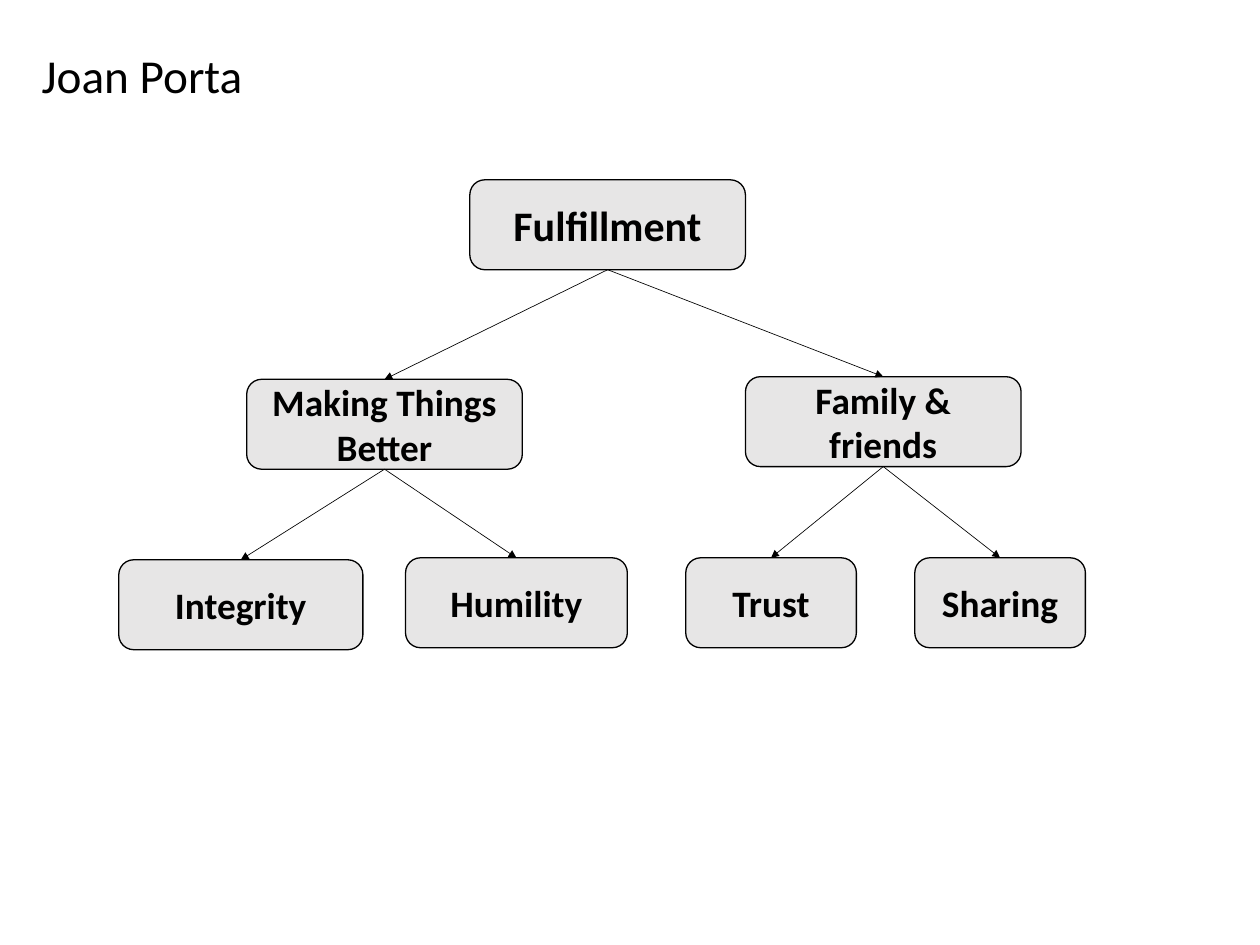
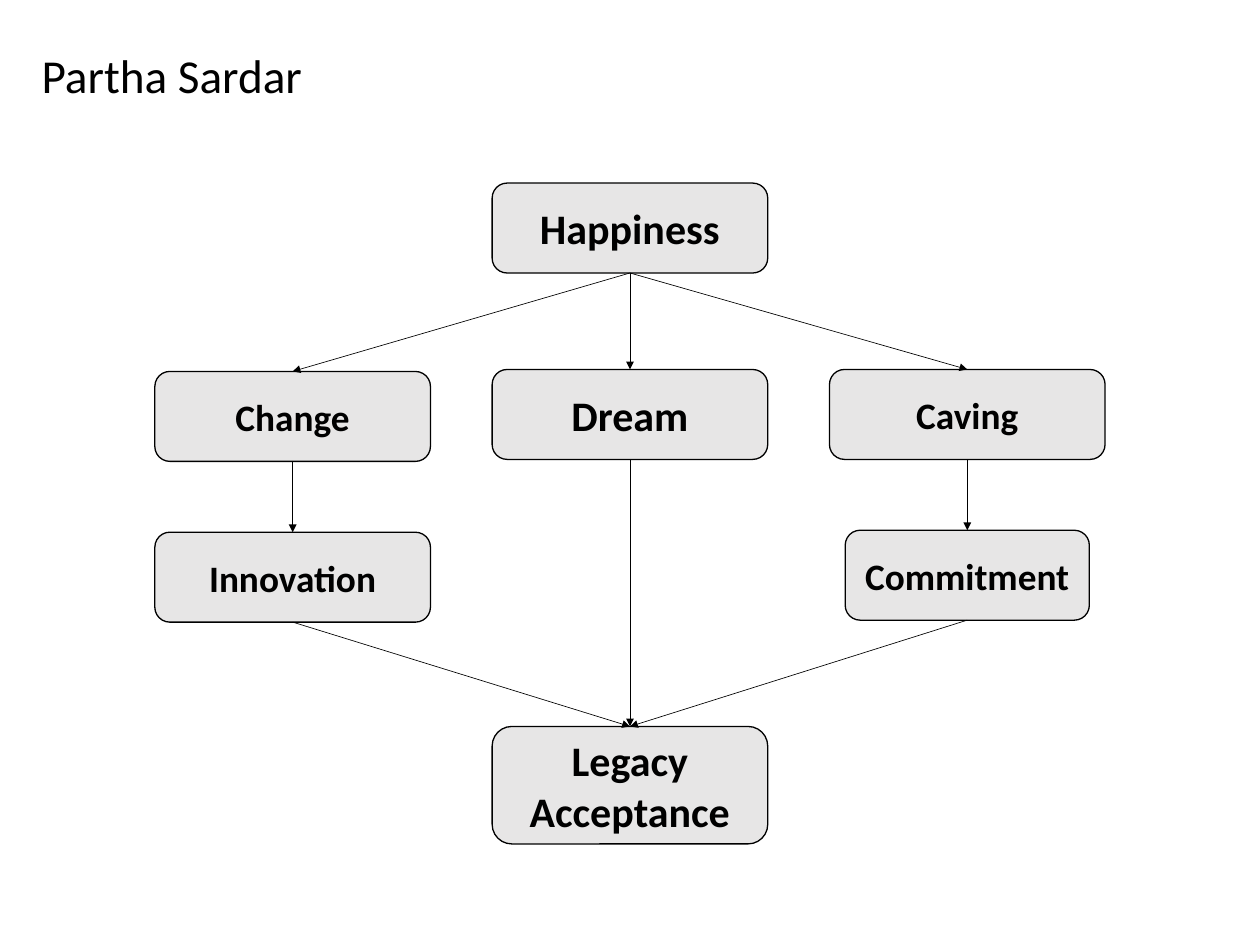
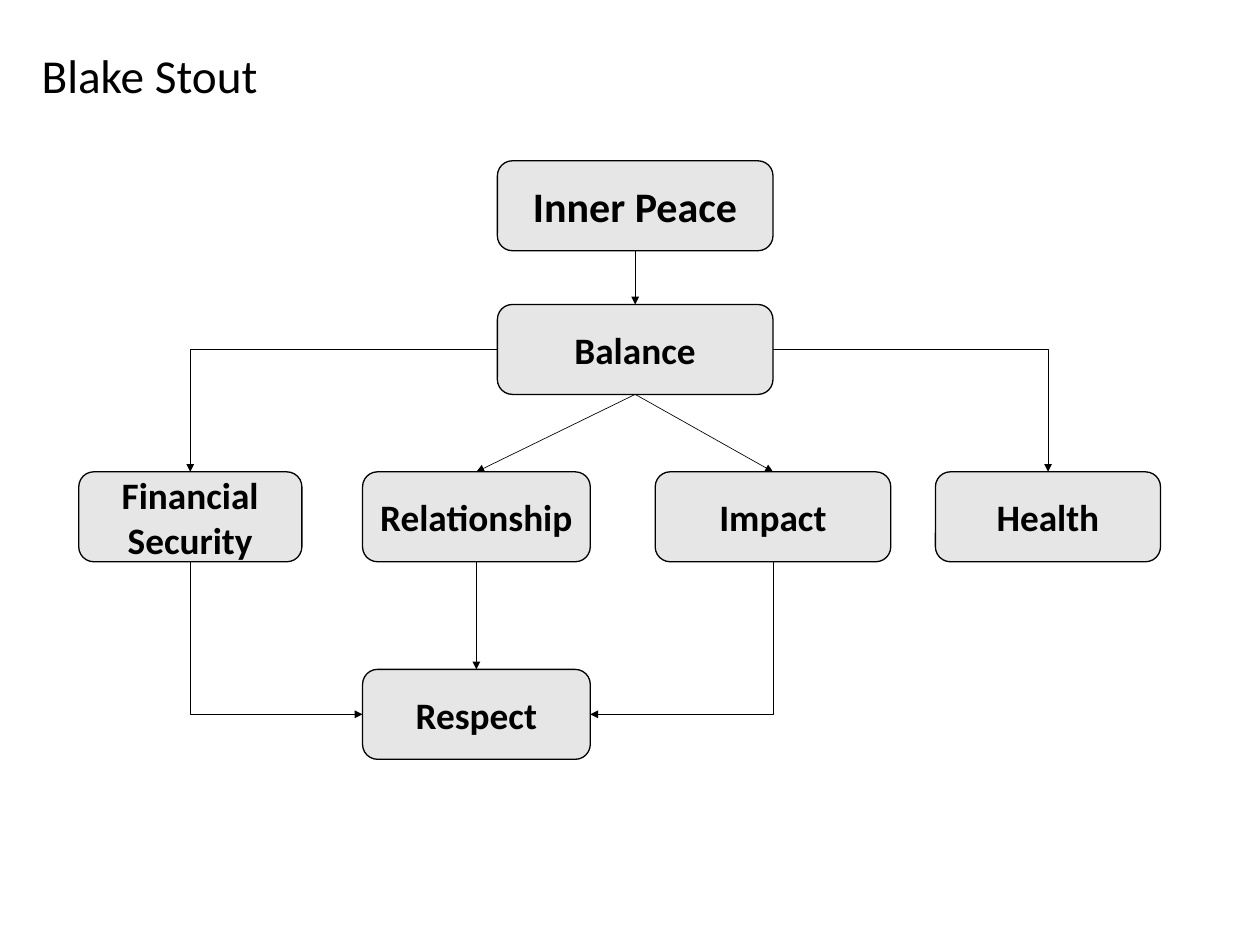
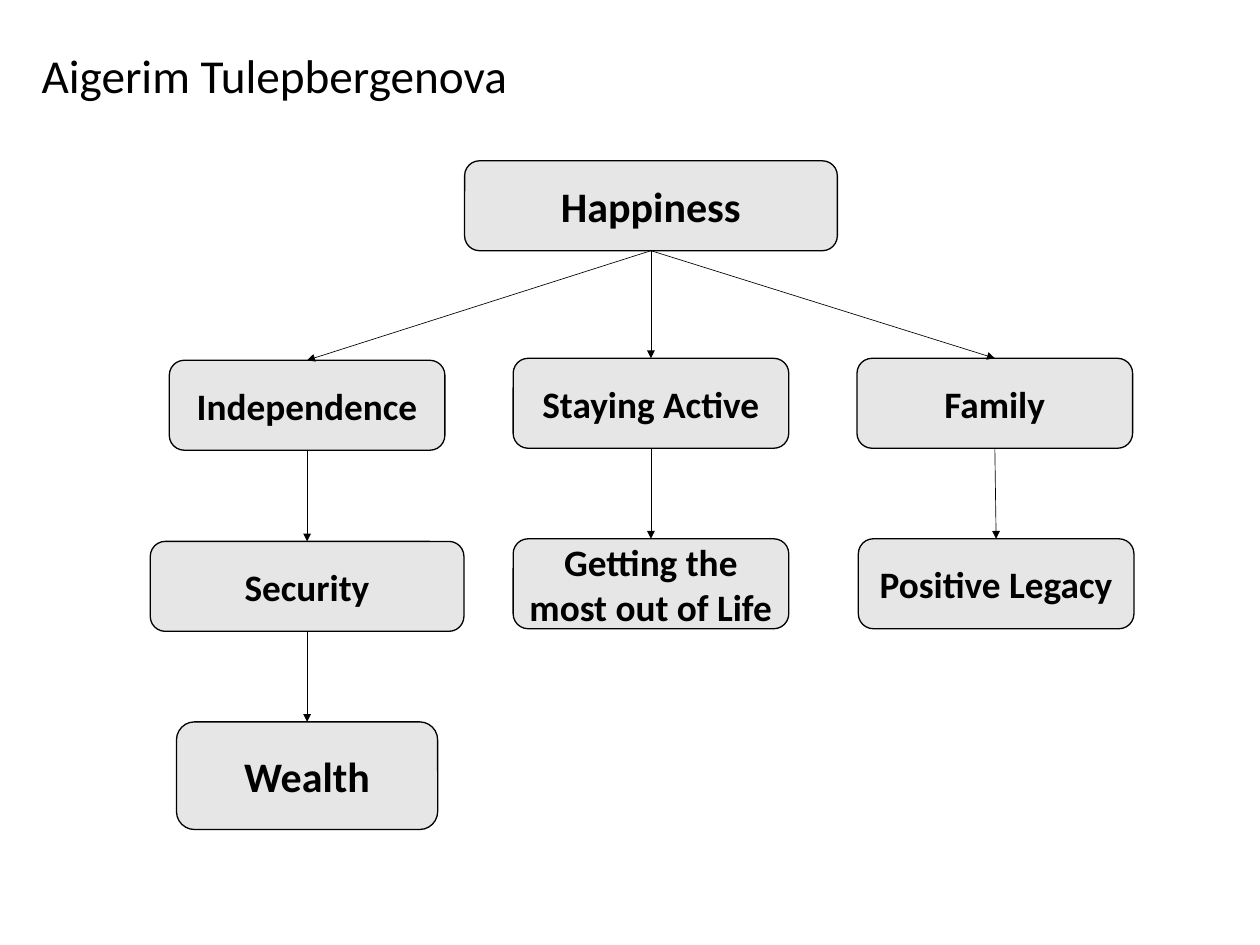
"""Build four value-tree slides, one per person."""
from lxml import etree
from pptx import Presentation
from pptx.dml.color import RGBColor
from pptx.enum.shapes import MSO_CONNECTOR, MSO_SHAPE
from pptx.enum.text import MSO_ANCHOR, PP_ALIGN
from pptx.oxml.ns import qn
from pptx.util import Pt

BLACK = RGBColor(0x00, 0x00, 0x00)
BOX_GREY = RGBColor(0xE7, 0xE6, 0xE6)
FONT = "Calibri"
ROUNDED = MSO_SHAPE.ROUNDED_RECTANGLE
STRAIGHT = MSO_CONNECTOR.STRAIGHT
ELBOW = MSO_CONNECTOR.ELBOW
MIDDLE = MSO_ANCHOR.MIDDLE
ALIGN_LEFT = PP_ALIGN.LEFT
ALIGN_CENTER = PP_ALIGN.CENTER
TITLE_ONLY = 5
TOP, LEFT, BOTTOM, RIGHT = range(4)
GOAL_SIZE = 32
VALUE_SIZE = 28.4


def write_text(shape, text, size=VALUE_SIZE, bold=False, align=ALIGN_LEFT):
    frame = shape.text_frame
    frame.text = text
    frame.word_wrap = True
    frame.vertical_anchor = MIDDLE
    for paragraph in frame.paragraphs:
        paragraph.alignment = align
        paragraph.font.name = FONT
        paragraph.font.size = Pt(size)
        paragraph.font.bold = bold
        paragraph.font.color.rgb = BLACK


class TreeDeck:
    def __init__(self):
        self.presentation = Presentation()
        self.presentation.slide_width = Pt(960)
        self.presentation.slide_height = Pt(720)
        self.slide = None

    def add_slide(self, person):
        layout = self.presentation.slide_layouts[TITLE_ONLY]
        self.slide = self.presentation.slides.add_slide(layout)
        title = self.slide.shapes.title
        title.left, title.top = Pt(24.5), Pt(31)
        title.width, title.height = Pt(754.5), Pt(51)
        write_text(title, person, size=36)

    def box(self, text, center, top, width=210, height=68.5, size=VALUE_SIZE):
        shape = self.slide.shapes.add_shape(
            ROUNDED, Pt(center - width / 2), Pt(top), Pt(width), Pt(height))
        shape.shadow.inherit = False
        shape.fill.solid()
        shape.fill.fore_color.rgb = BOX_GREY
        shape.line.color.rgb = BLACK
        shape.line.width = Pt(1)
        write_text(shape, text, size=size, bold=True, align=ALIGN_CENTER)
        return shape

    def arrow(self, start, end, leave=BOTTOM, enter=TOP):
        bent = (leave, enter) != (BOTTOM, TOP)
        connector = self.slide.shapes.add_connector(
            ELBOW if bent else STRAIGHT, 0, 0, 0, 0)
        connector.begin_connect(start, leave)
        connector.end_connect(end, enter)
        connector.line.color.rgb = BLACK
        connector.line.width = Pt(0.5)
        properties = connector._element.spPr
        etree.SubElement(properties.find(qn("a:ln")), qn("a:tailEnd"), type="triangle")
        etree.SubElement(properties, qn("a:effectLst"))
        if bent:
            properties.find(qn("a:prstGeom")).set("prst", "bentConnector2")
            if leave == BOTTOM:
                self.turn_downward(connector, rightward=enter == LEFT)

    def turn_downward(self, connector, rightward):
        width, height = connector.width, connector.height
        connector.left += (width - height) // 2
        connector.top += (height - width) // 2
        connector.width, connector.height = height, width
        transform = connector._element.spPr.find(qn("a:xfrm"))
        transform.set("rot", str((270 if rightward else 90) * 60000))
        transform.set("flipH", "1" if rightward else "0")

    def fan_out(self, start, *ends):
        for end in ends:
            self.arrow(start, end)

    def chain(self, *boxes):
        for start, end in zip(boxes, boxes[1:]):
            self.arrow(start, end)


def build_joan(deck):
    deck.add_slide("Joan Porta")
    fulfillment = deck.box("Fulfillment", 463, 137, size=GOAL_SIZE)
    making_better = deck.box("Making Things\nBetter", 293, 289)
    family = deck.box("Family & friends", 673, 287)
    integrity = deck.box("Integrity", 183.5, 426.5, width=186)
    humility = deck.box("Humility", 393.5, 425, width=169)
    trust = deck.box("Trust", 587.5, 425, width=130)
    sharing = deck.box("Sharing", 762, 425, width=130)
    deck.fan_out(fulfillment, making_better, family)
    deck.fan_out(making_better, integrity, humility)
    deck.fan_out(family, trust, sharing)


def build_partha(deck):
    deck.add_slide("Partha Sardar")
    happiness = deck.box("Happiness", 480, 139.5, size=GOAL_SIZE)
    change = deck.box("Change", 223, 283)
    dream = deck.box("Dream", 480, 281.5, size=GOAL_SIZE)
    caving = deck.box("Caving", 737, 281.5)
    innovation = deck.box("Innovation", 223, 405.5)
    commitment = deck.box("Commitment", 737, 404, width=186)
    legacy = deck.box("Legacy\nAcceptance", 480, 553.5, height=89.5, size=GOAL_SIZE)
    deck.chain(happiness, change, innovation, legacy)
    deck.chain(happiness, dream, legacy)
    deck.chain(happiness, caving, commitment, legacy)


def build_blake(deck):
    deck.add_slide("Blake Stout")
    row_top = 359.5
    inner_peace = deck.box("Inner Peace", 484, 122.5, size=GOAL_SIZE)
    balance = deck.box("Balance", 484, 232)
    financial = deck.box("Financial\nSecurity", 145, row_top, width=170)
    relationship = deck.box("Relationship", 363, row_top, width=173.5)
    impact = deck.box("Impact", 589, row_top, width=179.5)
    health = deck.box("Health", 798.5, row_top, width=171.5)
    respect = deck.box("Respect", 363, 510, width=173.5)
    deck.chain(inner_peace, balance, relationship, respect)
    deck.arrow(balance, impact)
    deck.arrow(balance, financial, leave=LEFT)
    deck.arrow(balance, health, leave=RIGHT)
    deck.arrow(financial, respect, enter=LEFT)
    deck.arrow(impact, respect, enter=RIGHT)


def build_aigerim(deck):
    deck.add_slide("Aigerim Tulepbergenova")
    happiness = deck.box("Happiness", 496, 122.5, width=284, size=GOAL_SIZE)
    independence = deck.box("Independence", 234, 274.5)
    staying_active = deck.box("Staying Active", 496, 273)
    family = deck.box("Family", 758, 273)
    security = deck.box("Security", 234, 412.5, width=239)
    full_life = deck.box("Getting the most out of Life", 496, 410.5)
    positive_legacy = deck.box("Positive Legacy", 759, 410.5)
    wealth = deck.box("Wealth", 234, 550, width=199, height=82, size=GOAL_SIZE)
    deck.chain(happiness, independence, security, wealth)
    deck.chain(happiness, staying_active, full_life)
    deck.chain(happiness, family, positive_legacy)


def main():
    deck = TreeDeck()
    for build in (build_joan, build_partha, build_blake, build_aigerim):
        build(deck)
    deck.presentation.save("out.pptx")


if __name__ == "__main__":
    main()
